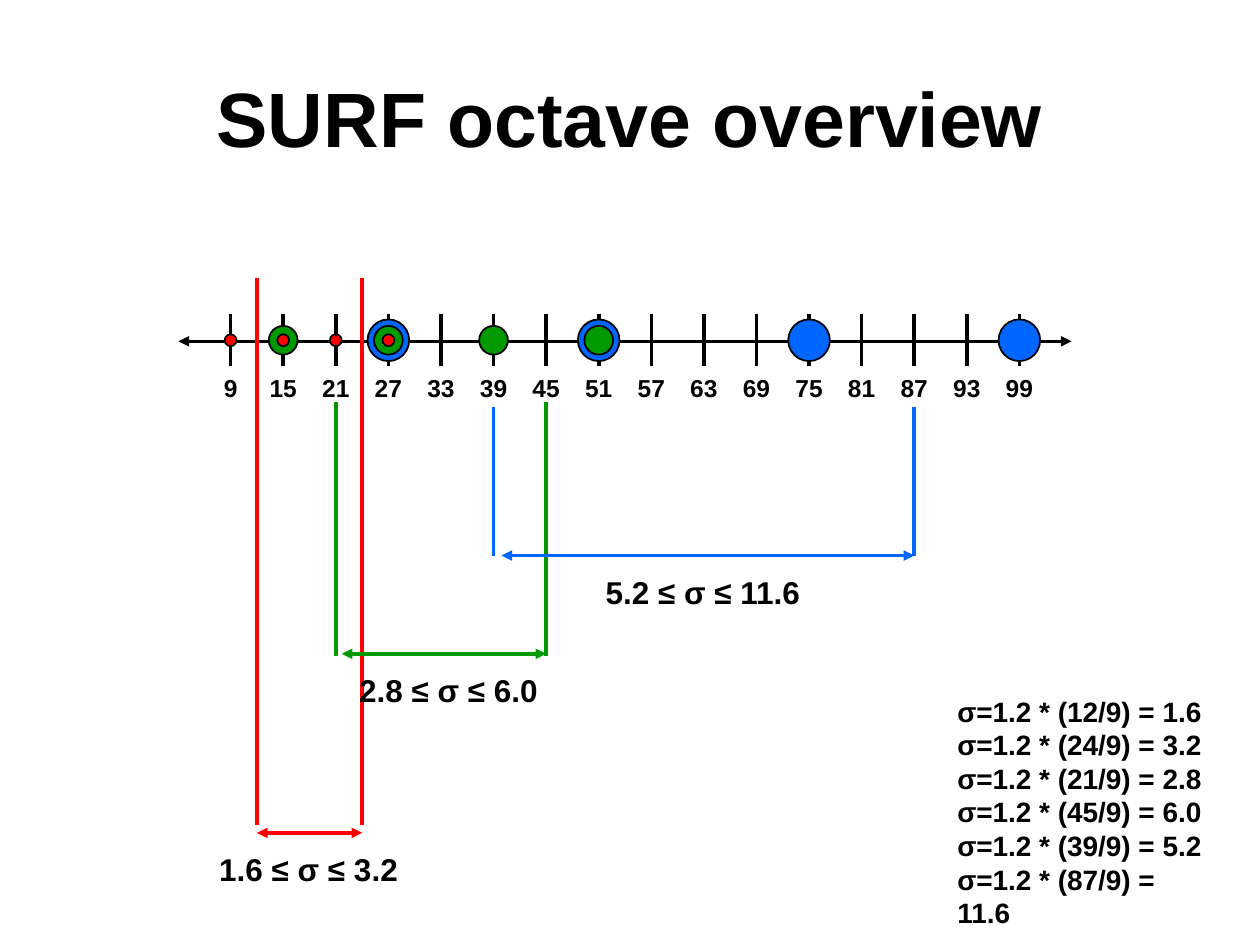
from dataclasses import dataclass

from lxml import etree
from pptx import Presentation
from pptx.dml.color import RGBColor
from pptx.enum.shapes import MSO_CONNECTOR, MSO_SHAPE
from pptx.enum.text import MSO_ANCHOR, PP_ALIGN
from pptx.oxml.ns import qn
from pptx.util import Cm, Pt

STRAIGHT = MSO_CONNECTOR.STRAIGHT
OVAL = MSO_SHAPE.OVAL
LEFT, CENTER = PP_ALIGN.LEFT, PP_ALIGN.CENTER
TOP, MIDDLE = MSO_ANCHOR.TOP, MSO_ANCHOR.MIDDLE


@dataclass(frozen=True)
class Theme:
    font: str = "Arial"
    ink: str = "000000"
    red: str = "FF0000"
    green: str = "009900"
    blue: str = "0066FF"
    title: int = 44
    tick: int = 14
    formula: int = 16
    range: int = 18
    rule: int = 2
    outline: int = 1


@dataclass(frozen=True)
class ScaleRange:
    """Filter sizes covered by an octave; positions are in cm."""
    low: int
    high: int
    color: str
    top: float
    bottom: float
    arrow_y: float
    arrow_inset: float
    label: str
    label_left: float


THEME = Theme()
FILTER_SIZES = range(9, 100, 6)
FIRST_TICK_X, TICK_GAP = 4.65, 1.06
TICK_TOP, TICK_BOTTOM = 6.32, 7.37
AXIS_Y, AXIS_START, AXIS_END = 6.88, 3.6, 21.6
DOT_Y = 6.86
TICK_LABEL_TOP, TICK_LABEL_WIDTH = 7.39, 1.2

# Filter sizes per octave, largest dots first so smaller ones stay on top.
OCTAVES = [
    (THEME.blue, 0.84, (27, 51, 75, 99)),
    (THEME.green, 0.58, (15, 27, 39, 51)),
    (THEME.red, 0.24, (9, 15, 21, 27)),
]
RANGES = [
    ScaleRange(12, 24, THEME.red, 5.6, 16.64, 16.79, 0, "1.6 ≤ σ ≤ 3.2", 4.17),
    ScaleRange(21, 45, THEME.green, 8.1, 13.23, 13.18, 0.12, "2.8 ≤ σ ≤ 6.0", 6.99),
    ScaleRange(39, 87, THEME.blue, 8.2, 11.2, 11.2, 0.16, "5.2 ≤ σ ≤ 11.6", 11.96),
]
SIGMAS = [(12, "1.6"), (24, "3.2"), (21, "2.8"), (45, "6.0"), (39, "5.2"), (87, "11.6")]


def size_x(filter_size):
    """Horizontal position of a filter size on the axis, in cm."""
    return FIRST_TICK_X + TICK_GAP * (filter_size - 9) / 6


def add_line(slide, x1, y1, x2, y2, color=THEME.ink, arrows=False):
    line = slide.shapes.add_connector(STRAIGHT, Cm(x1), Cm(y1), Cm(x2), Cm(y2))
    line.line.color.rgb = RGBColor.from_string(color)
    line.line.width = Pt(THEME.rule)
    properties = line._element.spPr
    if arrows:
        outline = properties.find(qn("a:ln"))
        for end in ("a:headEnd", "a:tailEnd"):
            etree.SubElement(outline, qn(end), type="triangle")
    etree.SubElement(properties, qn("a:effectLst"))


def add_dot(slide, center_x, diameter, color):
    corner = Cm(center_x - diameter / 2), Cm(DOT_Y - diameter / 2)
    dot = slide.shapes.add_shape(OVAL, *corner, Cm(diameter), Cm(diameter))
    dot.shadow.inherit = False
    dot.fill.solid()
    dot.fill.fore_color.rgb = RGBColor.from_string(color)
    dot.line.color.rgb = RGBColor.from_string(THEME.ink)
    dot.line.width = Pt(THEME.outline)


def add_text(slide, left, top, width, height, lines, size, align=LEFT, anchor=TOP):
    box = slide.shapes.add_textbox(Cm(left), Cm(top), Cm(width), Cm(height))
    frame = box.text_frame
    frame.word_wrap = True
    frame.vertical_anchor = anchor
    for index, line in enumerate(lines):
        paragraph = frame.add_paragraph() if index else frame.paragraphs[0]
        paragraph.alignment = align
        run = paragraph.add_run()
        run.text = line
        run.font.name = THEME.font
        run.font.size = Pt(size)
        run.font.bold = True
        run.font.color.rgb = RGBColor.from_string(THEME.ink)


def add_axis(slide):
    for size in FILTER_SIZES:
        x = size_x(size)
        add_line(slide, x, TICK_TOP, x, TICK_BOTTOM)
        add_text(slide, x - TICK_LABEL_WIDTH / 2, TICK_LABEL_TOP, TICK_LABEL_WIDTH,
                 0.86, [str(size)], THEME.tick, CENTER)
    add_line(slide, AXIS_START, AXIS_Y, AXIS_END, AXIS_Y, arrows=True)


def add_range(slide, octave):
    low_x, high_x = size_x(octave.low), size_x(octave.high)
    for x in (low_x, high_x):
        add_line(slide, x, octave.top, x, octave.bottom, octave.color)
    add_line(slide, low_x + octave.arrow_inset, octave.arrow_y,
             high_x, octave.arrow_y, octave.color, arrows=True)
    add_text(slide, octave.label_left, octave.arrow_y + 0.23, 4.8, 1.02,
             [octave.label], THEME.range)


def main():
    presentation = Presentation()
    presentation.slide_width, presentation.slide_height = Cm(25.4), Cm(19.05)
    slide = presentation.slides.add_slide(presentation.slide_layouts[6])

    add_text(slide, 1.27, 0.76, 22.86, 3.18, ["SURF octave overview"],
             THEME.title, CENTER, MIDDLE)
    add_axis(slide)
    for color, diameter, sizes in OCTAVES:
        for size in sizes:
            add_dot(slide, size_x(size), diameter, color)
    for octave in RANGES:
        add_range(slide, octave)
    formulas = [f"σ=1.2 * ({size}/9) = {sigma}" for size, sigma in SIGMAS]
    add_text(slide, 19.05, 13.87, 5.69, 4.32, formulas, THEME.formula)

    presentation.save("out.pptx")


if __name__ == "__main__":
    main()
